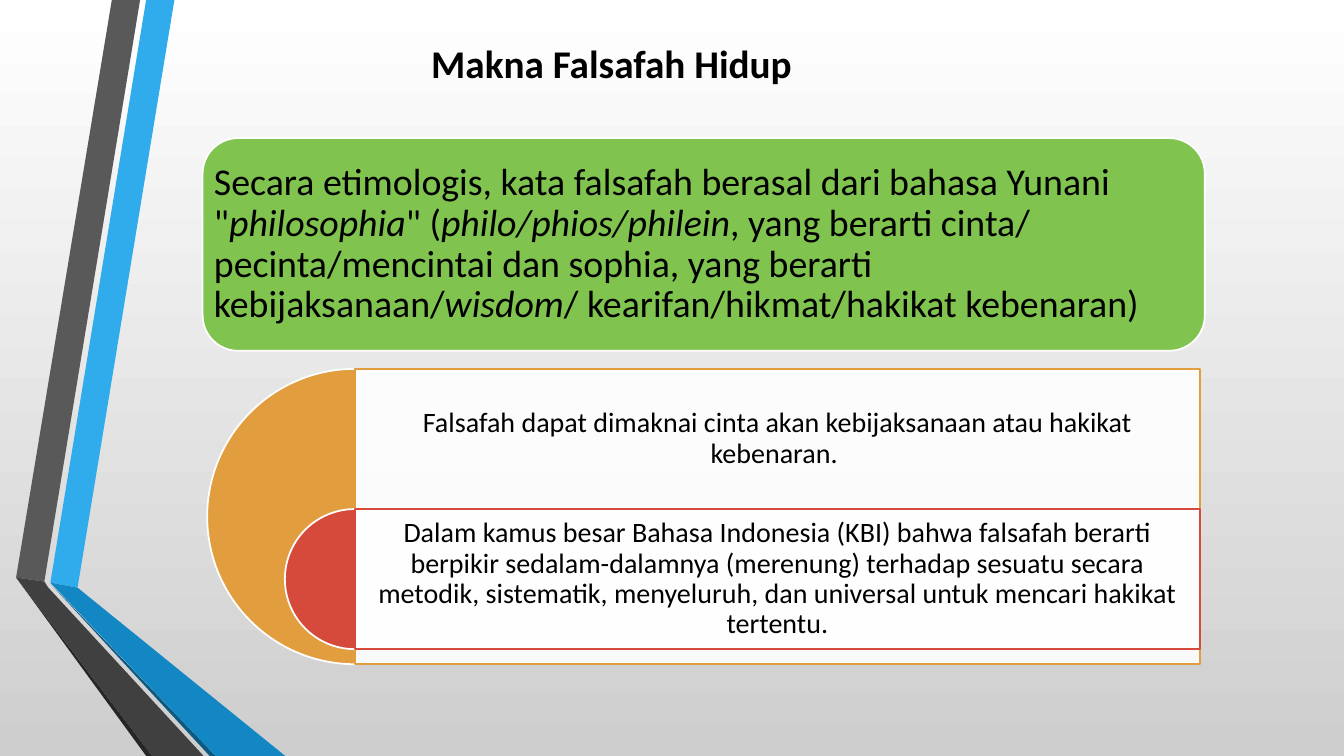
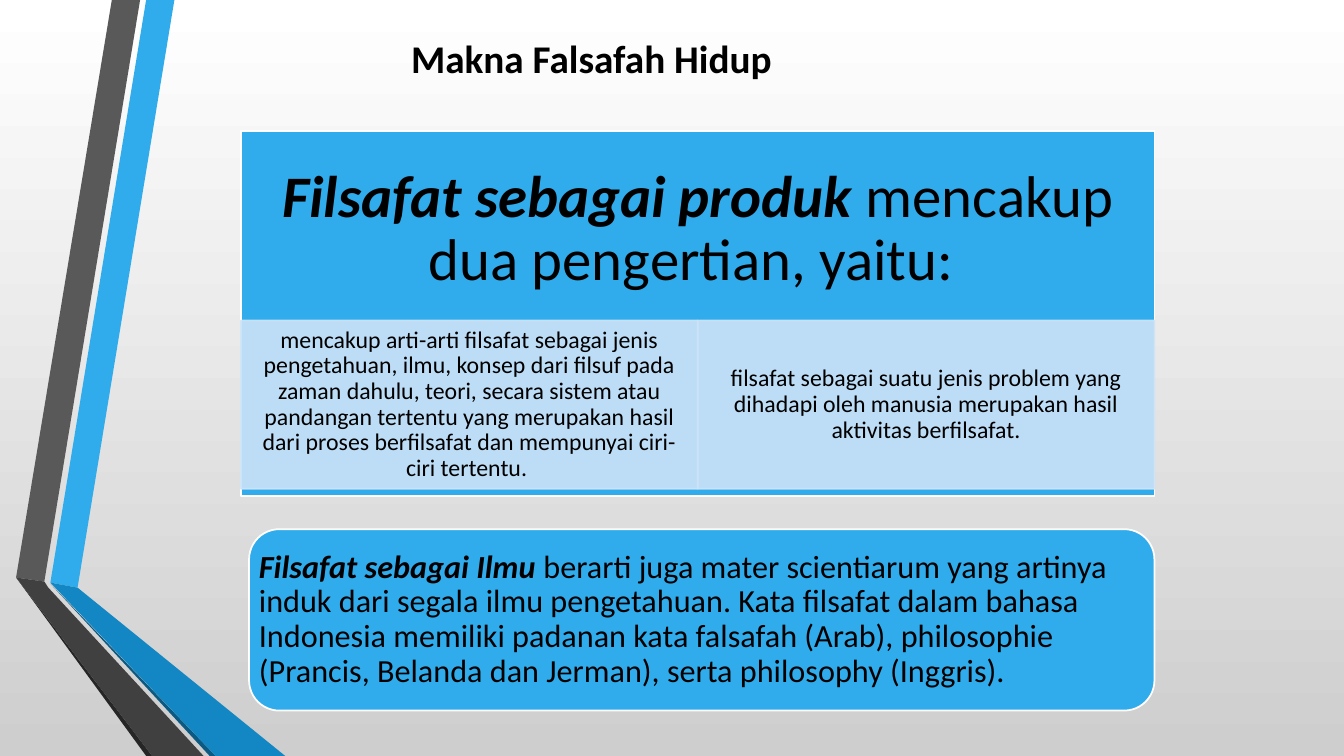
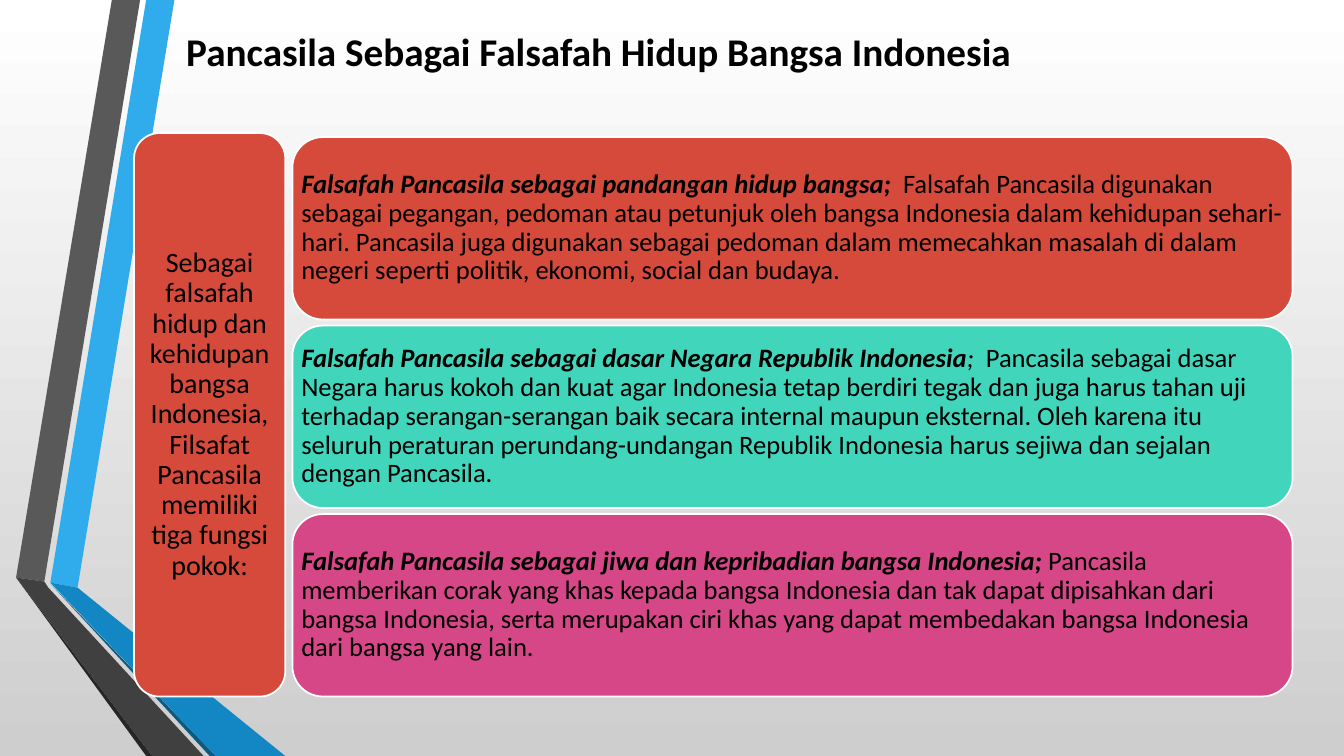
from lxml import etree
from pptx import Presentation
from pptx.dml.color import RGBColor
from pptx.enum.shapes import MSO_SHAPE as SHAPE
from pptx.enum.text import MSO_ANCHOR as ANCHOR, PP_ALIGN as ALIGN
from pptx.oxml.ns import qn
from pptx.util import Inches, Pt

FONT = "Calibri"
BLACK, WHITE = "000000", "FFFFFF"
BLUE, GREEN, ORANGE = "30ACEC", "80C34F", "E29D3E"
RED, TEAL, PINK, PALE = "D64A3B", "41D6BC", "D64787", "CDE3F8"
color = RGBColor.from_string


def write_text(shape, runs, size, align=ALIGN.CENTER, anchor=ANCHOR.MIDDLE,
               margins=(0.1, 0.05, 0.1, 0.05), spacing=0.9):
    frame = shape.text_frame
    frame.word_wrap = True
    frame.vertical_anchor = anchor
    (frame.margin_left, frame.margin_top,
     frame.margin_right, frame.margin_bottom) = map(Inches, margins)
    paragraph = frame.paragraphs[0]
    paragraph.alignment = align
    paragraph.line_spacing = spacing
    for text, style in runs:
        run = paragraph.add_run()
        run.text = text
        run.font.name = FONT
        run.font.size = Pt(size)
        run.font.bold = "b" in style
        run.font.italic = "i" in style
        run.font.color.rgb = color(BLACK)


def add_panel(slide, kind, box, fill, line=WHITE, fill_alpha=100, line_alpha=100):
    shape = slide.shapes.add_shape(kind, *map(Inches, box))
    shape.shadow.inherit = False
    shape.fill.solid()
    shape.fill.fore_color.rgb = color(fill)
    shape.line.color.rgb = color(line)
    shape.line.width = Pt(1.25)
    properties = shape.element.spPr
    for holder, alpha in ((properties, fill_alpha), (properties.find(qn("a:ln")), line_alpha)):
        if alpha < 100:
            tint = holder.find(qn("a:solidFill"))[0]
            etree.SubElement(tint, qn("a:alpha")).set("val", str(alpha * 1000))
    return shape


presentation = Presentation()
presentation.slide_width = Inches(13.33)
presentation.slide_height = Inches(7.5)
blank = presentation.slide_layouts[6]
master = presentation.slide_master

background = master.background.fill
background.gradient()
background.gradient_angle = 270
for stop, shade in zip(background.gradient_stops, (WHITE, "CECECE")):
    stop.color.rgb = color(shade)

TITLES = [
    ("Makna Falsafah Hidup", 1.85, 0.34),
    ("Makna Falsafah Hidup", 1.65, 0.29),
    ("Pancasila Sebagai Falsafah Hidup Bangsa Indonesia", 1.72, 0.22),
]
slides = []
for title, left, top in TITLES:
    slide = presentation.slides.add_slide(blank)
    title_box = slide.shapes.add_textbox(Inches(left), Inches(top), Inches(8.43), Inches(0.57))
    write_text(title_box, [(title, "b")], 28, anchor=ANCHOR.TOP, spacing=1.0)
    slides.append(slide)
meaning, product, functions = slides

RIBBONS = [
    (BLUE, [(0.5, 5.78), (0.77, 5.83), (1.73, 0), (1.45, 0)]),
    ("595959", [(1.39, 0), (1.11, 0), (0.16, 5.73), (0.44, 5.77)]),
    ("262626", [(0.16, 5.73), (1.45, 7.5), (1.51, 7.5)]),
    ("0C5A82", [(0.5, 5.79), (2.08, 7.5), (2.14, 7.5)]),
    ("1287C3", [(0.5, 5.78), (2.14, 7.5), (2.83, 7.5), (0.77, 5.83)]),
    ("404040", [(2.02, 7.5), (0.48, 5.83), (0.44, 5.77), (0.16, 5.73), (1.51, 7.5)]),
]
for fill, points in RIBBONS:
    start, *corners = [(Inches(x), Inches(y)) for x, y in points]
    outline = meaning.shapes.build_freeform(*start)
    outline.add_line_segments(corners)
    ribbon = outline.convert_to_shape()
    ribbon.shadow.inherit = False
    ribbon.fill.solid()
    ribbon.fill.fore_color.rgb = color(fill)
    ribbon.line.fill.background()
    master.element.cSld.spTree.append(ribbon.element)

etymology = add_panel(meaning, SHAPE.ROUNDED_RECTANGLE, (2.01, 1.37, 9.94, 2.11), GREEN)
write_text(etymology, [
    ('Secara etimologis, kata falsafah berasal dari bahasa Yunani "', ""),
    ("philosophia", "i"),
    ('" (', ""),
    ("philo/phios/philein", "i"),
    (", yang berarti cinta/ pecinta/mencintai dan sophia, yang berarti kebijaksanaan/", ""),
    ("wisdom", "i"),
    ("/ kearifan/hikmat/hakikat kebenaran)", ""),
], 27, align=ALIGN.LEFT, margins=(0.01,) * 4)

DEFINITIONS = [
    (3.66, 2.93, ORANGE,
     "Falsafah dapat dimaknai cinta akan kebijaksanaan atau hakikat kebenaran. "),
    (5.05, 1.39, RED,
     "Dalam kamus besar Bahasa Indonesia (KBI) bahwa falsafah berarti berpikir "
     "sedalam-dalamnya (merenung) terhadap sesuatu secara metodik, sistematik, "
     "menyeluruh, dan universal untuk mencari hakikat tertentu."),
]
for top, height, accent, text in DEFINITIONS:
    half_disc = add_panel(meaning, SHAPE.PIE, (3.52 - height / 2, top, height, height), accent)
    half_disc.adjustments[0] = 54
    half_disc.adjustments[1] = 162
    definition = add_panel(meaning, SHAPE.RECTANGLE, (3.52, top, 8.38, height), WHITE,
                           line=accent, fill_alpha=90)
    write_text(definition, [(text, "")], 20,
               margins=(0.08, 0.08, 0.08, 0.08 + height - 1.39))

heading = add_panel(product, SHAPE.RECTANGLE, (2.39, 1.3, 9.06, 3.62), BLUE)
write_text(heading, [
    ("Filsafat sebagai produk", "bi"),
    (" mencakup dua pengertian, yaitu: ", ""),
], 42, margins=(0.33, 0.33, 0.33, 1.99))

SENSES = [
    "mencakup arti-arti filsafat sebagai jenis pengetahuan, ilmu, konsep dari filsuf pada "
    "zaman dahulu, teori, secara sistem atau pandangan tertentu yang merupakan hasil dari "
    "proses berfilsafat dan mempunyai ciri-ciri tertentu. ",
    "filsafat sebagai suatu jenis problem yang dihadapi oleh manusia merupakan hasil "
    "aktivitas berfilsafat.",
]
for column, text in enumerate(SENSES):
    sense = add_panel(product, SHAPE.RECTANGLE, (2.39 + 4.53 * column, 3.18, 4.53, 1.67), PALE,
                      line=PALE, fill_alpha=90, line_alpha=90)
    write_text(sense, [(text, "")], 17, margins=(0.13, 0.02, 0.13, 0.02))

science = add_panel(product, SHAPE.ROUNDED_RECTANGLE, (2.47, 5.25, 8.98, 1.8), BLUE)
write_text(science, [
    ("Filsafat sebagai Ilmu", "bi"),
    (" berarti juga mater scientiarum yang artinya induk dari segala ilmu pengetahuan. "
     "Kata filsafat dalam bahasa Indonesia memiliki padanan kata falsafah (Arab), "
     "philosophie (Prancis, Belanda dan Jerman), serta philosophy (Inggris).", ""),
], 23, align=ALIGN.LEFT, margins=(0.01,) * 4)

sidebar = add_panel(functions, SHAPE.ROUNDED_RECTANGLE, (1.33, 1.32, 1.5, 5.59), RED)
write_text(sidebar, [
    ("Sebagai falsafah hidup dan kehidupan bangsa Indonesia, Filsafat Pancasila memiliki "
     "tiga fungsi pokok:", ""),
], 20, margins=(0.01,) * 4)

ROLES = [
    (RED, [
        ("Falsafah Pancasila sebagai pandangan hidup bangsa;  ", "bi"),
        ("Falsafah Pancasila digunakan sebagai pegangan, pedoman atau petunjuk oleh bangsa "
         "Indonesia dalam kehidupan sehari-hari. Pancasila juga digunakan sebagai pedoman "
         "dalam memecahkan masalah di dalam negeri seperti politik, ekonomi, social dan "
         "budaya.", ""),
    ]),
    (TEAL, [
        ("Falsafah Pancasila sebagai dasar Negara Republik Indonesia", "bi"),
        (";  ", "i"),
        ("Pancasila sebagai dasar Negara harus kokoh dan kuat agar Indonesia tetap berdiri "
         "tegak dan juga harus tahan uji terhadap serangan-serangan baik secara internal "
         "maupun eksternal. Oleh karena itu seluruh peraturan perundang-undangan Republik "
         "Indonesia harus sejiwa dan sejalan dengan Pancasila.", ""),
    ]),
    (PINK, [
        ("Falsafah Pancasila sebagai jiwa dan kepribadian bangsa Indonesia; ", "bi"),
        ("Pancasila memberikan corak yang khas kepada bangsa Indonesia dan tak dapat "
         "dipisahkan dari bangsa Indonesia, serta merupakan ciri khas yang dapat membedakan "
         "bangsa Indonesia dari bangsa yang lain.", ""),
    ]),
]
for row, (fill, runs) in enumerate(ROLES):
    role = add_panel(functions, SHAPE.ROUNDED_RECTANGLE, (2.9, 1.36 + 1.87 * row, 9.92, 1.81), fill)
    write_text(role, runs, 19, align=ALIGN.LEFT, margins=(0,) * 4)

presentation.save("out.pptx")
